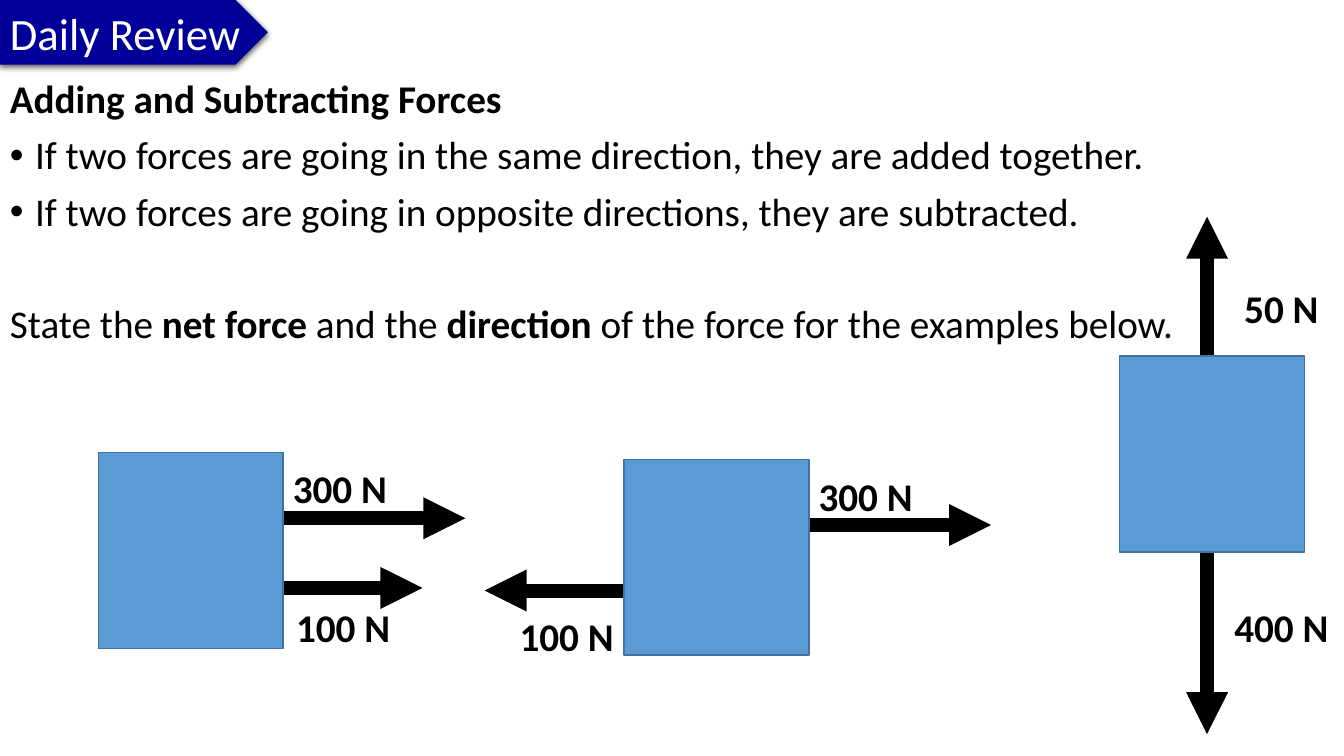
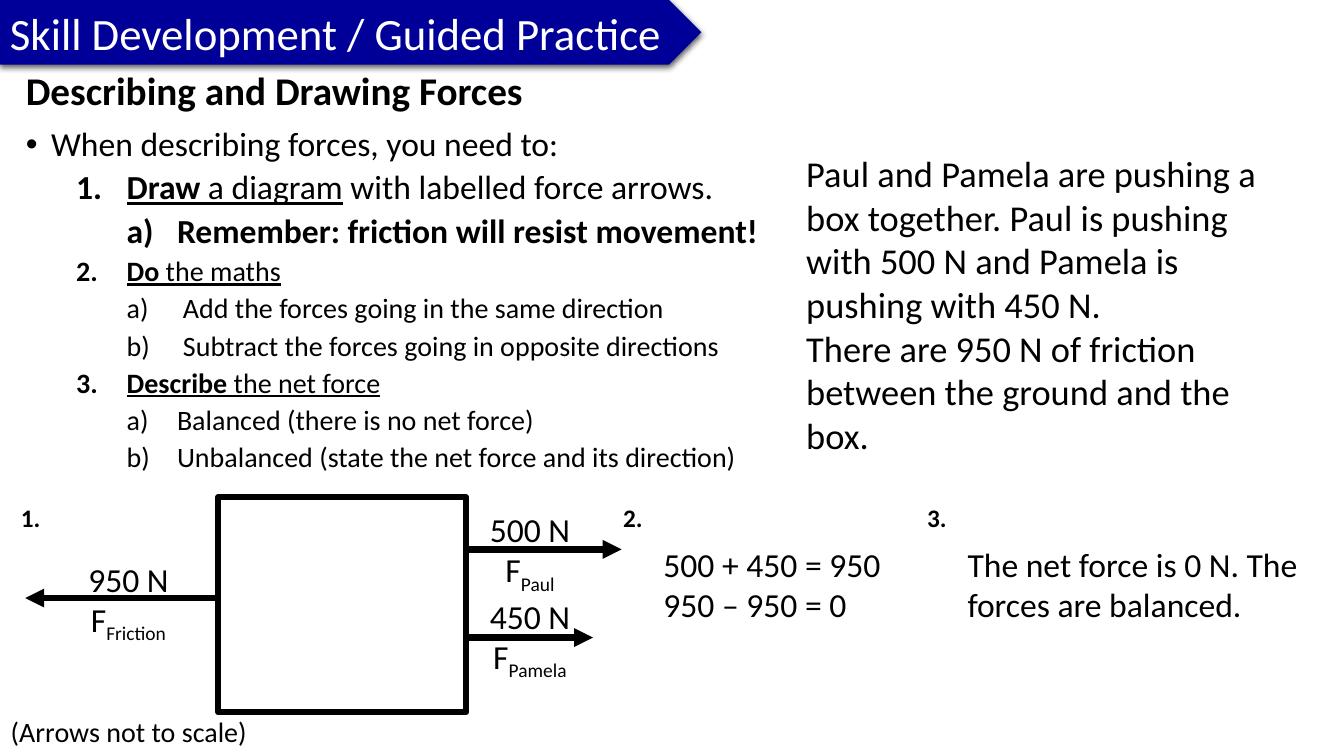
from dataclasses import dataclass

from lxml.etree import SubElement
from pptx import Presentation
from pptx.dml.color import RGBColor
from pptx.enum.dml import MSO_LINE_DASH_STYLE as Dash
from pptx.enum.shapes import MSO_CONNECTOR as Connector
from pptx.enum.shapes import MSO_SHAPE as Preset
from pptx.enum.text import MSO_ANCHOR as Anchor
from pptx.enum.text import PP_ALIGN as Align
from pptx.oxml.ns import qn
from pptx.util import Inches, Pt

COLUMNS, ROWS = 160, 90
CELL = Inches(7.5) // ROWS


@dataclass(frozen=True)
class Theme:
    font: str = "Calibri"
    ink: str = "000000"
    paper: str = "FFFFFF"
    banner: str = "000099"
    block: str = "5B9BD5"
    block_edge: str = "43739E"
    title: int = 32
    heading: int = 28
    story: int = 26
    body: int = 24
    detail: int = 20
    marker: int = 18
    tight: float = 0.9


@dataclass(frozen=True)
class DiagramStyle:
    width: float
    height: float
    fill: str
    edge: str
    edge_weight: float
    arrow_weight: float
    label_width: float
    label_height: float
    label_size: int
    label_bold: bool


@dataclass(frozen=True)
class Force:
    label: str
    start: tuple
    reach: tuple
    label_at: tuple
    source: str = ""


THEME = Theme()
SOLID = DiagramStyle(22, 23.3, THEME.block, THEME.block_edge, 1, 10,
                     14.3, 6.8, THEME.heading, True)
OUTLINE = DiagramStyle(29.5, 25.6, THEME.paper, THEME.ink, 4.5, 4.5,
                       12.2, 10.9, THEME.body, False)
STRONG, WEAK = 21.7, 16.6


def cells(*counts):
    return [round(count * CELL) for count in counts]


def color(value):
    return RGBColor.from_string(value)


def add_span(para, text, *, size, bold=False, underline=False,
             ink=THEME.ink, baseline=0):
    span = para.add_run()
    span.text = text
    font = span.font
    font.name, font.size = THEME.font, Pt(size)
    font.bold, font.underline = bold, underline
    font.color.rgb = color(ink)
    if baseline:
        span._r.get_or_add_rPr().set("baseline", str(baseline * 1000))


def set_bullet(para, kind, indent, hang):
    props = para._p.get_or_add_pPr()
    props.set("marL", str(round(indent * CELL)))
    props.set("indent", str(round(-hang * CELL)))
    if kind == "•":
        SubElement(props, qn("a:buFont"), typeface="Arial")
        SubElement(props, qn("a:buChar"), char=kind)
    else:
        SubElement(props, qn("a:buFont"), typeface="+mj-lt")
        SubElement(props, qn("a:buAutoNum"), type=kind)


def add_para(box, *spans, before=0, spacing=None, align=Align.LEFT,
             bullet=None, level=0, indent=0, hang=0, **style):
    frame = box.text_frame
    para = frame.paragraphs[0]
    if para.runs:
        para = frame.add_paragraph()
        para.space_before = Pt(before)
    if bullet:
        set_bullet(para, bullet, indent, hang)
    para.level, para.alignment = level, align
    if spacing:
        para.line_spacing = spacing
    for span in spans:
        text, changes = (span, {}) if isinstance(span, str) else span
        add_span(para, text, **{**style, **changes})


def add_box(shapes, left, top, width, height, wrap=True):
    box = shapes.add_textbox(*cells(left, top, width, height))
    box.text_frame.word_wrap = wrap
    return box


def add_text(page, left, top, width, height, *lines, **style):
    box = add_box(page.shapes, left, top, width, height)
    for line in lines:
        add_para(box, line, **style)


def add_banner(page, text, width):
    banner = page.shapes.add_shape(Preset.PENTAGON, *cells(0, 0, width, 7.7))
    banner.fill.solid()
    banner.fill.fore_color.rgb = color(THEME.banner)
    banner.line.fill.background()
    banner.shadow.inherit = False
    effects = banner._element.spPr.find(qn("a:effectLst"))
    shadow = SubElement(effects, qn("a:outerShdw"), blurRad=str(Pt(4.5)),
                        dist=str(Pt(1.5)), dir="5400000", algn="ctr",
                        rotWithShape="0")
    tone = SubElement(shadow, qn("a:srgbClr"), val=THEME.ink)
    SubElement(tone, qn("a:alpha"), val="63000")
    banner.text_frame.word_wrap = False
    banner.text_frame.vertical_anchor = Anchor.MIDDLE
    add_para(banner, text, size=THEME.title, ink=THEME.paper)


def add_arrow(shapes, left, top, across, down, weight):
    arrow = shapes.add_connector(
        Connector.STRAIGHT, *cells(left, top, left + across, top + down))
    arrow.line.color.rgb = color(THEME.ink)
    arrow.line.width = Pt(weight)
    arrow.line.dash_style = Dash.SOLID
    SubElement(arrow.line._get_or_add_ln(), qn("a:tailEnd"), type="triangle")
    SubElement(arrow._element.spPr, qn("a:effectLst"))


def add_force_label(shapes, left, top, force, style):
    box = add_box(shapes, left, top, style.label_width, style.label_height,
                  wrap=False)
    look = dict(size=style.label_size, bold=style.label_bold,
                align=Align.CENTER)
    add_para(box, force.label, **look)
    if force.source:
        add_para(box, "F", (force.source, dict(baseline=-25)), **look)


def add_diagram(page, left, top, style, *forces):
    shapes = page.shapes.add_group_shape().shapes
    for force in forces:
        add_arrow(shapes, left + force.start[0], top + force.start[1],
                  *force.reach, style.arrow_weight)
    for force in forces:
        add_force_label(shapes, left + force.label_at[0],
                        top + force.label_at[1], force, style)
    block = shapes.add_shape(
        Preset.RECTANGLE, *cells(left, top, style.width, style.height))
    block.shadow.inherit = False
    block.fill.solid()
    block.fill.fore_color.rgb = color(style.fill)
    block.line.color.rgb = color(style.edge)
    block.line.width = Pt(style.edge_weight)


def build_review(page):
    add_banner(page, "Daily Review", 31.9)
    box = add_box(page.shapes, 0, 8.9, 144, 78.5)
    look = dict(size=THEME.heading, spacing=THEME.tight)
    strong = dict(bold=True)
    add_para(box, "Adding and Subtracting Forces", bold=True, **look)
    for rule in (
        "If two forces are going in the same direction, they are added together.",
        "If two forces are going in opposite directions, they are subtracted.",
    ):
        add_para(box, rule, before=10, bullet="•", indent=3, hang=3, **look)
    add_para(box, "State the ", ("net force ", strong), "and the ",
             ("direction", strong), " of the force for the examples below.",
             before=50, **look)

    right = SOLID.width
    add_diagram(page, 11.7, 53.9, SOLID,
                Force("300 N", (right, 7.8), (STRONG, 0), (21.6, 0.8)),
                Force("100 N", (right, 16.1), (WEAK, 0), (right, 17.3)))
    add_diagram(page, 74.3, 54.7, SOLID,
                Force("300 N", (right, 7.8), (STRONG, 0), (21.6, 0.9)),
                Force("100 N", (0, 15.6), (-WEAK, 0), (-14, 17.6)))
    add_diagram(page, 133.3, 42.4, SOLID,
                Force("50 N", (10.4, 0), (0, -WEAK), (12.1, -9.1)),
                Force("400 N", (10.4, SOLID.height), (0, STRONG), (12.1, 28.8)))


def add_step(box, verb, task, rest, points, size, bold=False, hang=6):
    look = dict(size=size, spacing=THEME.tight, before=5)
    add_para(box, (verb, dict(bold=True, underline=True)),
             (task, dict(underline=True)), *rest, bullet="arabicPeriod",
             level=1, indent=12, hang=6, **look)
    for point in points:
        add_para(box, point, bullet="alphaLcParenR", level=2,
                 indent=12 + hang, hang=hang, bold=bold, **look)


def build_practice(page):
    add_banner(page, "Skill Development / Guided Practice", 83.5)
    box = add_box(page.shapes, 1.9, 7.9, 91, 50.4)
    add_para(box, "Describing and Drawing Forces", size=THEME.heading,
             bold=True, spacing=THEME.tight)
    add_para(box, "When describing forces, you need to:", size=THEME.body,
             spacing=THEME.tight, before=10, bullet="•", indent=3, hang=3)
    add_step(box, "Draw", " a diagram", [" with labelled force arrows."],
             ["Remember: friction will resist movement!"],
             THEME.body, bold=True)
    add_step(box, "Do", " the maths", [],
             ["Add the forces going in the same direction",
              "Subtract the forces going in opposite directions"],
             THEME.detail, hang=6.7)
    add_step(box, "Describe", " the net force", [],
             ["Balanced (there is no net force)",
              "Unbalanced (state the net force and its direction)"],
             THEME.detail)

    add_text(page, 94.8, 17.4, 56.4, 37.9,
             "Paul and Pamela are pushing a box together. Paul is pushing "
             "with 500 N and Pamela is pushing with 450 N.",
             "There are 950 N of friction between the ground and the box.",
             size=THEME.story)
    right = OUTLINE.width
    add_diagram(page, 26, 59.2, OUTLINE,
                Force("500 N", (right, 6.2), (18.5, 0), (31, 0.8), "Paul"),
                Force("450 N", (right, 16.7), (15.1, 0), (31, 11.1), "Pamela"),
                Force("950 N", (0, 12), (-23, 0), (-16.8, 6.7), "Friction"))
    for number, left in enumerate((1.3, 73, 109.2), 1):
        add_text(page, left, 59.2, 4.8, 4.8, f"{number}.",
                 size=THEME.marker, bold=True)
    add_text(page, 77.8, 64.1, 30, 10.9, "500 + 450 = 950", "950 – 950 = 0",
             size=THEME.body)
    add_text(page, 114, 64.1, 46, 10.9,
             "The net force is 0 N. The forces are balanced.",
             size=THEME.body)
    add_text(page, 0.1, 84.5, 31, 5.3, "(Arrows not to scale)",
             size=THEME.detail)


def main():
    deck = Presentation()
    deck.slide_width, deck.slide_height = cells(COLUMNS, ROWS)
    for build in (build_review, build_practice):
        build(deck.slides.add_slide(deck.slide_layouts[6]))
    deck.save("out.pptx")


if __name__ == "__main__":
    main()
